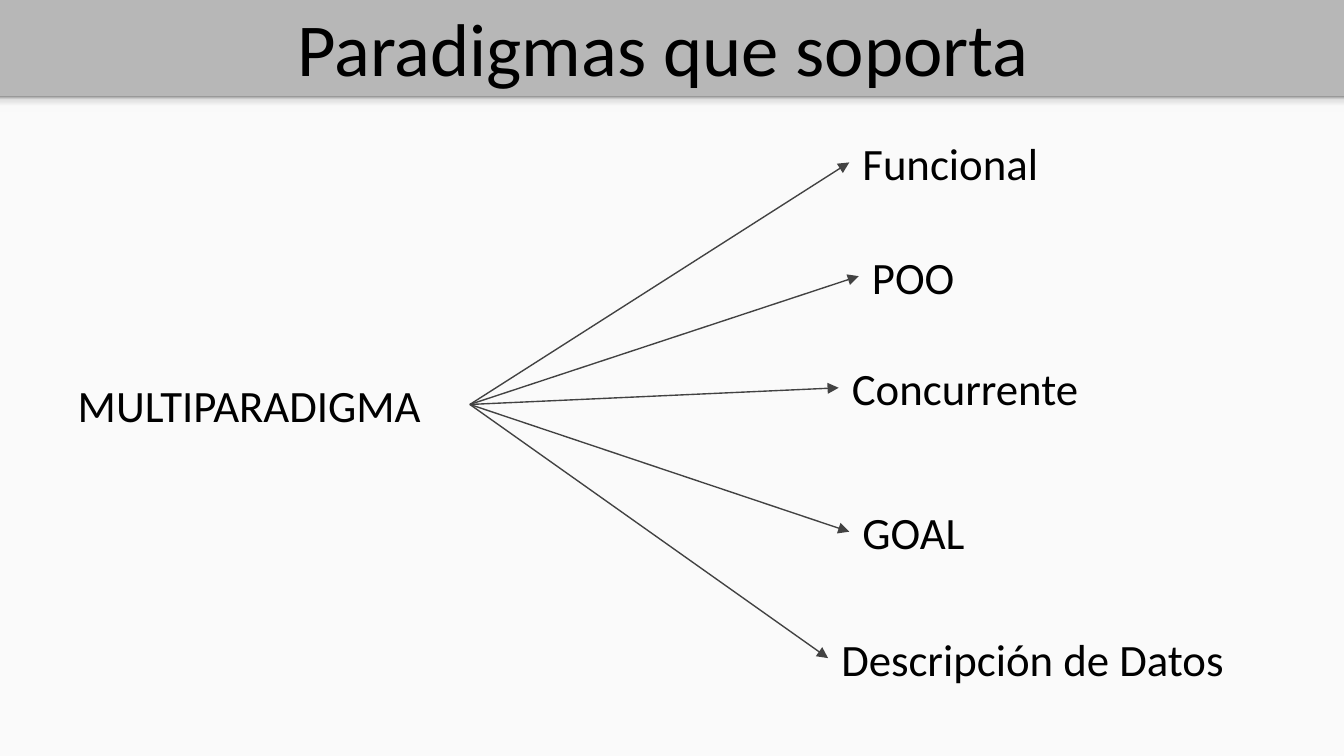
from dataclasses import dataclass

import pptx
import pptx.dml.color
import pptx.enum.shapes
import pptx.enum.text
import pptx.oxml
import pptx.oxml.ns
import pptx.util
from pptx.util import Cm

Align = pptx.enum.text.PP_ALIGN


@dataclass(frozen=True)
class Theme:
    font: str = "Calibri"
    head: int = 40
    body: int = 24
    ink: str = "000000"
    line: str = "424242"
    band: str = "B7B7B7"
    page: str = "FAFAFA"
    fade: tuple = ((0, "F9F9F9"), (36, "F9F9F9"), (80, "DEDEDE"), (100, "999999"))


@dataclass(frozen=True)
class Label:
    """A line of text in a box, in centimetres."""
    text: str
    left: float
    top: float
    width: float
    height: float

    @property
    def right(self) -> float:
        return self.left + self.width

    @property
    def mid(self) -> float:
        return self.top + self.height / 2


THEME = Theme()
WIDE, HIGH = 25.4, 14.29
EDGE = 1.82  # bottom of the title band

TITLE = Label("Paradigmas que soporta", 0.28, 0.05, 24.51, 1.68)
HUB = Label("MULTIPARADIGMA", 1.22, 6.58, 7.66, 2.13)
KINDS = (
    Label("Funcional", 16.05, 2.51, 4.14, 1.12),
    Label("POO", 16.23, 4.42, 2.16, 1.6),
    Label("Concurrente", 15.85, 6.53, 4.88, 1.6),
    Label("GOAL", 16.05, 9.4, 2.51, 1.3),
    Label("Descripción de Datos", 15.65, 11.79, 7.8, 1.3),
)


def color(code: str) -> pptx.dml.color.RGBColor:
    return pptx.dml.color.RGBColor.from_string(code)


def add_rect(slide, top: float, height: float):
    rect = slide.shapes.add_shape(
        pptx.enum.shapes.MSO_SHAPE.RECTANGLE, 0, Cm(top), Cm(WIDE), Cm(height))
    rect.shadow.inherit = False
    rect.line.fill.background()
    rect.fill.solid()
    rect.fill.fore_color.rgb = color(THEME.page)
    return rect


def add_fade(rect) -> None:
    """Fill with the theme's stops, running from bottom to top."""
    rect.fill.gradient()
    rect.fill.gradient_angle = 90
    stops = rect._element.spPr.find(".//" + pptx.oxml.ns.qn("a:gsLst"))
    for old in list(stops):
        stops.remove(old)
    for place, code in THEME.fade:
        stops.append(pptx.oxml.parse_xml(
            f'<a:gs {pptx.oxml.ns.nsdecls("a")} pos="{place * 1000}">'
            f'<a:srgbClr val="{code}"/></a:gs>'))


def add_label(slide, label: Label, size: int, align=Align.LEFT) -> None:
    box = slide.shapes.add_textbox(
        Cm(label.left), Cm(label.top), Cm(label.width), Cm(label.height))
    frame = box.text_frame
    frame.word_wrap = True
    frame.vertical_anchor = pptx.enum.text.MSO_ANCHOR.MIDDLE
    frame.margin_left = frame.margin_right = Cm(0.25)
    frame.margin_top = frame.margin_bottom = Cm(0.25)
    para = frame.paragraphs[0]
    para.alignment = align
    run = para.add_run()
    run.text = label.text
    run.font.name = THEME.font
    run.font.size = pptx.util.Pt(size)
    run.font.color.rgb = color(THEME.ink)


def add_arrow(slide, start: Label, end: Label) -> None:
    """Join the right side of one label to the left side of another."""
    arrow = slide.shapes.add_connector(
        pptx.enum.shapes.MSO_CONNECTOR.STRAIGHT,
        Cm(start.right), Cm(start.mid), Cm(end.left), Cm(end.mid))
    arrow.line.color.rgb = color(THEME.line)
    arrow.line.width = pptx.util.Pt(0.75)
    names = pptx.oxml.ns.nsdecls("a")
    arrow.line._get_or_add_ln().append(
        pptx.oxml.parse_xml(f'<a:tailEnd {names} type="triangle"/>'))
    arrow._element.spPr.append(pptx.oxml.parse_xml(f"<a:effectLst {names}/>"))


def main() -> None:
    deck = pptx.Presentation()
    deck.slide_width, deck.slide_height = Cm(WIDE), Cm(HIGH)
    slide = deck.slides.add_slide(deck.slide_layouts[6])

    # Title band, page area and the shade under the band
    back = slide.background.fill
    back.solid()
    back.fore_color.rgb = color(THEME.band)
    add_rect(slide, EDGE, HIGH - EDGE)
    add_fade(add_rect(slide, EDGE, 0.3))
    add_label(slide, TITLE, THEME.head, Align.CENTER)

    # Hub with an arrow to each paradigm
    add_label(slide, HUB, THEME.body)
    for kind in KINDS:
        add_label(slide, kind, THEME.body)
        add_arrow(slide, HUB, kind)

    deck.save("out.pptx")


if __name__ == "__main__":
    main()
